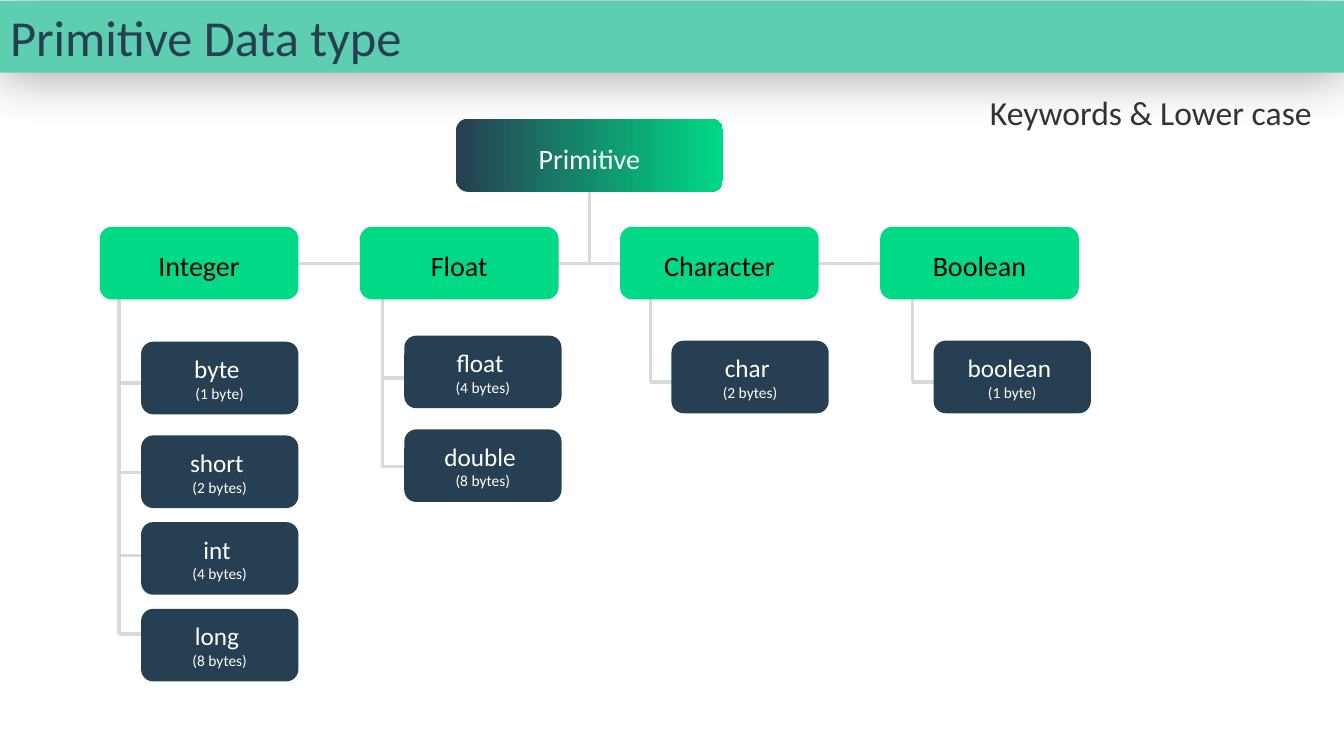
from dataclasses import dataclass

import lxml.etree
import pptx
import pptx.dml.color
import pptx.enum.shapes
import pptx.enum.text
import pptx.oxml.ns
import pptx.util

PX = 9144  # 100 px to the inch
TITLE_ONLY = 5
SHAPES = pptx.enum.shapes.MSO_SHAPE
ALIGN = pptx.enum.text.PP_ALIGN
ANCHOR = pptx.enum.text.MSO_ANCHOR


@dataclass(frozen=True)
class Theme:
    font: str = "Calibri"
    navy: str = "273F52"
    green: str = "00D986"
    mint: str = "5DCEAF"
    grey: str = "D9D9D9"
    white: str = "FFFFFF"
    black: str = "000000"
    charcoal: str = "333333"
    title: int = 36
    note: int = 24
    group: int = 20
    keyword: int = 18
    size: int = 11
    line: float = 2.25


@dataclass(frozen=True)
class Box:
    left: int
    top: int
    width: int
    height: int

    def emu(self) -> list[int]:
        return [side * PX for side in (self.left, self.top, self.width, self.height)]


@dataclass(frozen=True)
class Span:
    text: str
    size: int
    color: str


@dataclass(frozen=True)
class DataType:
    keyword: str
    size: str
    top: int
    branch: int


@dataclass(frozen=True)
class Group:
    name: str
    trunk: int
    leaf_left: int
    types: tuple[DataType, ...]


THEME = Theme()
ROOT = Box(452, 118, 265, 72)
TITLE_BAR = Box(0, 1, 1333, 71)
NOTE = Box(972, 86, 342, 50)
GROUP_LEFT, GROUP_STEP, GROUP_TOP = 99, 258, 225
GROUP_WIDTH, LEAF_WIDTH, BOX_HEIGHT = 197, 156, 72
BRANCH_LENGTH = 108
GROUPS = (
    Group("Integer", 118, 140, (
        DataType("byte", "1 byte", 339, 380),
        DataType("short", "2 bytes", 432, 469),
        DataType("int", "4 bytes", 518, 551),
        DataType("long", "8 bytes", 604, 629),
    )),
    Group("Float", 379, 401, (
        DataType("float", "4 bytes", 333, 375),
        DataType("double", "8 bytes", 426, 463),
    )),
    Group("Character", 645, 666, (DataType("char", "2 bytes", 338, 379),)),
    Group("Boolean", 905, 926, (DataType("boolean", "1 byte", 338, 379),)),
)


def rgb(color: str) -> pptx.dml.color.RGBColor:
    return pptx.dml.color.RGBColor.from_string(color)


def write(shape, spans: list[Span], align, **frame_format) -> None:
    """Put each span in its own paragraph."""
    frame = shape.text_frame
    for name, value in frame_format.items():
        setattr(frame, name, value)
    for index, span in enumerate(spans):
        para = frame.add_paragraph() if index else frame.paragraphs[0]
        para.alignment = align
        run = para.add_run()
        run.text = span.text
        font_format = {"name": THEME.font, "size": pptx.util.Pt(span.size)}
        for name, value in font_format.items():
            setattr(run.font, name, value)
        run.font.color.rgb = rgb(span.color)


def fill_solid(shape, color: str) -> None:
    shape.fill.solid()
    shape.fill.fore_color.rgb = rgb(color)


def add_line(page, start: tuple[int, int], end: tuple[int, int]) -> None:
    line = page.shapes.add_connector(
        pptx.enum.shapes.MSO_CONNECTOR.STRAIGHT, *(side * PX for side in start + end))
    line.line.color.rgb = rgb(THEME.grey)
    line.line.width = pptx.util.Pt(THEME.line)
    properties = line._element.spPr
    lxml.etree.SubElement(properties, pptx.oxml.ns.qn("a:effectLst"))


def add_node(page, box: Box, color: str, spans: list[Span], drop: int = 0):
    """Add a rounded box, with its text set drop px below the middle."""
    node = page.shapes.add_shape(SHAPES.ROUNDED_RECTANGLE, *box.emu())
    node.shadow.inherit = False
    node.line.fill.background()
    fill_solid(node, color)
    write(node, spans, ALIGN.CENTER, word_wrap=True, vertical_anchor=ANCHOR.MIDDLE,
          margin_top=(5 + drop) * PX, margin_bottom=(5 - drop) * PX)
    return node


def add_title(page) -> None:
    title = page.shapes.title
    title.left, title.top, title.width, title.height = TITLE_BAR.emu()
    fill_solid(title, THEME.mint)
    write(title, [Span("Primitive Data type", THEME.title, THEME.navy)], ALIGN.LEFT,
          word_wrap=True, vertical_anchor=ANCHOR.TOP,
          auto_size=pptx.enum.text.MSO_AUTO_SIZE.NONE)
    qn = pptx.oxml.ns.qn
    effects = lxml.etree.SubElement(title._element.spPr, qn("a:effectLst"))
    shadow = lxml.etree.SubElement(
        effects, qn("a:outerShdw"), blurRad=str(pptx.util.Pt(39)), dist="0", dir="0")
    color = lxml.etree.SubElement(shadow, qn("a:srgbClr"), val=THEME.black)
    lxml.etree.SubElement(color, qn("a:alpha"), val="40000")


def add_root(page) -> None:
    root = add_node(page, ROOT, THEME.navy,
                    [Span("Primitive", THEME.group, THEME.white)], drop=3)
    root.fill.gradient()
    root.fill.gradient_angle = 0
    for stop, position, color in zip(
            root.fill.gradient_stops, (0, 1), (THEME.navy, THEME.green)):
        stop.position = position
        stop.color.rgb = rgb(color)


def add_group(page, group: Group, left: int) -> None:
    add_line(page, (group.trunk, GROUP_TOP + BOX_HEIGHT),
             (group.trunk, group.types[-1].branch))
    add_node(page, Box(left, GROUP_TOP, GROUP_WIDTH, BOX_HEIGHT), THEME.green,
             [Span(group.name, THEME.group, THEME.black)], drop=2)
    for kind in group.types:
        add_line(page, (group.trunk, kind.branch),
                 (group.trunk + BRANCH_LENGTH, kind.branch))
        add_node(page, Box(group.leaf_left, kind.top, LEAF_WIDTH, BOX_HEIGHT), THEME.navy,
                 [Span(f"{kind.keyword} ", THEME.keyword, THEME.white),
                  Span(f"({kind.size})", THEME.size, THEME.white)])


def main() -> None:
    deck = pptx.Presentation()
    deck.slide_width, deck.slide_height = 1333 * PX, 750 * PX
    page = deck.slides.add_slide(deck.slide_layouts[TITLE_ONLY])
    add_title(page)

    middle = GROUP_TOP + BOX_HEIGHT // 2
    root_center = ROOT.left + ROOT.width // 2 + 1
    last_left = GROUP_LEFT + GROUP_STEP * (len(GROUPS) - 1)
    add_line(page, (root_center, ROOT.top + BOX_HEIGHT // 2), (root_center, middle))
    add_line(page, (GROUP_LEFT + GROUP_WIDTH, middle), (last_left, middle))
    add_root(page)
    for index, group in enumerate(GROUPS):
        add_group(page, group, GROUP_LEFT + GROUP_STEP * index)

    note = page.shapes.add_textbox(*NOTE.emu())
    write(note, [Span("Keywords & Lower case", THEME.note, THEME.charcoal)], ALIGN.LEFT,
          word_wrap=False)
    deck.save("out.pptx")


if __name__ == "__main__":
    main()
